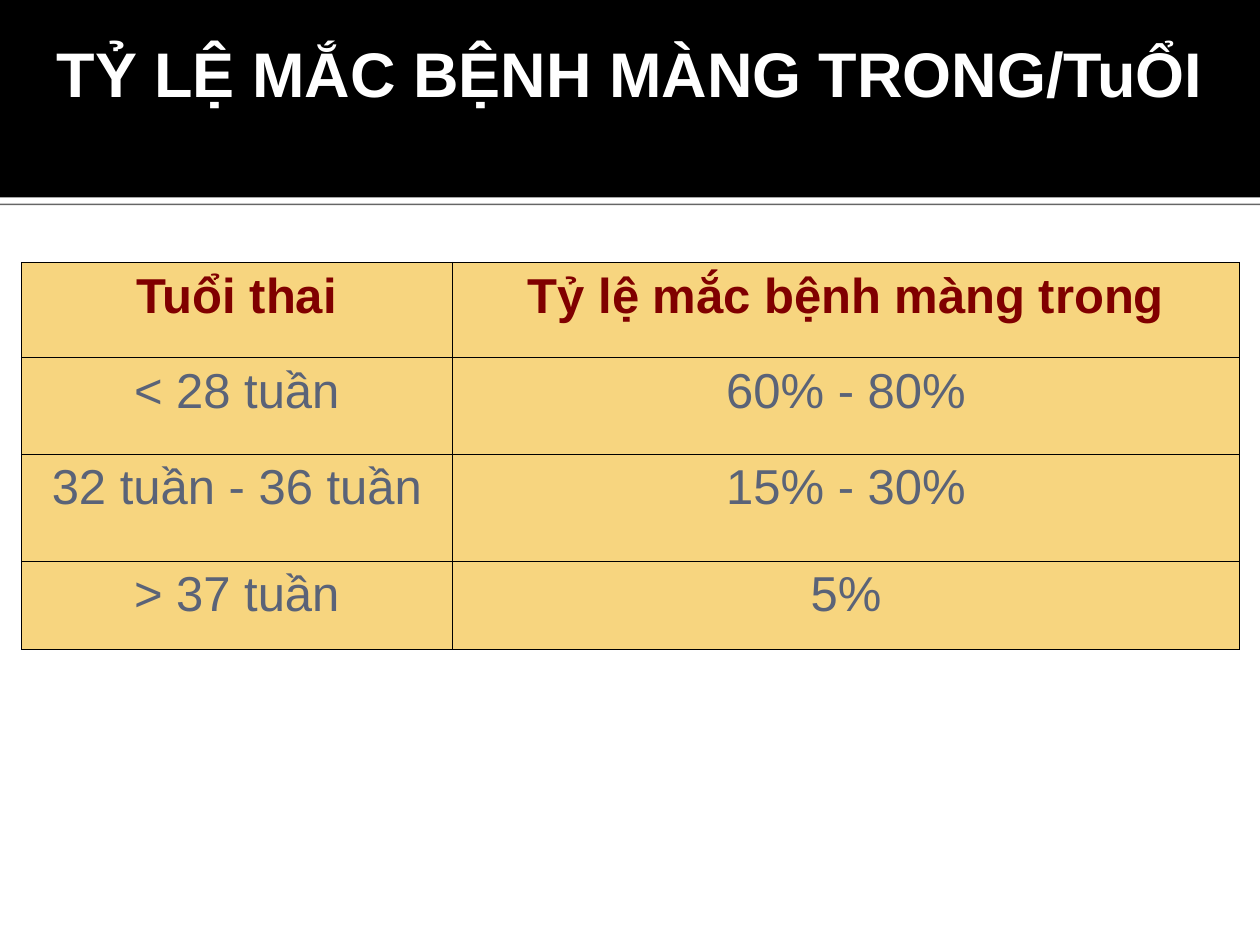
from lxml.etree import SubElement
from pptx import Presentation
from pptx.dml.color import RGBColor
from pptx.enum.shapes import MSO_SHAPE
from pptx.enum.text import PP_ALIGN
from pptx.oxml.ns import qn
from pptx.util import Pt

TITLE = "TỶ LỆ MẮC BỆNH MÀNG TRONG/TuỔI"
ROWS = [
    ("Tuổi thai", "Tỷ lệ mắc bệnh màng trong"),
    ("< 28 tuần", "60% - 80%"),
    ("32 tuần - 36 tuần", "15% - 30%"),
    ("> 37 tuần", "5%"),
]
COL_WIDTHS = [246.2, 450]
ROW_HEIGHTS = [54.4, 55.2, 61.2, 50.4]
WIDTH, HEIGHT = 720, 540
BANNER_H, STRIP_H = 112.8, 3.6
TABLE_LEFT, TABLE_TOP = 12.2, 150
THIN, THICK = 0.45, 0.96


def rgb(value):
    return RGBColor.from_string(value)


def add_band(s, top, height, color):
    sp = s.shapes.add_shape(MSO_SHAPE.RECTANGLE, 0, Pt(top), Pt(WIDTH), Pt(height))
    sp.shadow.inherit = False
    sp.fill.solid()
    sp.fill.fore_color.rgb = rgb(color)
    sp.line.fill.background()
    return sp


def add_color(parent, value, alpha=None):
    clr = SubElement(parent, qn("a:srgbClr"), val=value)
    if alpha:
        SubElement(clr, qn("a:alpha"), val=str(alpha * 1000))


def add_shadow(sp, distance, alpha):
    effects = sp._element.spPr.find(qn("a:effectLst"))
    shadow = SubElement(effects, qn("a:outerShdw"), blurRad="0",
                        dist=str(Pt(distance)), dir="5400000",
                        algn="t", rotWithShape="0")
    add_color(shadow, "000000", alpha)


def write(tf, text, size, color, bold):
    p = tf.paragraphs[0]
    p.alignment = PP_ALIGN.CENTER
    r = p.add_run()
    r.text = text
    r.font.name = "Arial"
    r.font.size = Pt(size)
    r.font.bold = bold
    r.font.color.rgb = rgb(color)


def style_cell(cell, widths):
    tc_pr = cell._tc.get_or_add_tcPr()
    for side, width in widths.items():
        ln = SubElement(tc_pr, qn(f"a:ln{side}"), w=str(Pt(width)))
        add_color(SubElement(ln, qn("a:solidFill")), "000000")
    add_color(SubElement(tc_pr, qn("a:solidFill")), "F0AD00", 50)


def add_rate_table(s):
    n_rows, n_cols = len(ROWS), len(COL_WIDTHS)
    table = s.shapes.add_table(n_rows, n_cols, Pt(TABLE_LEFT), Pt(TABLE_TOP),
                               Pt(sum(COL_WIDTHS)), Pt(sum(ROW_HEIGHTS))).table
    table.first_row = table.horz_banding = False
    for col, width in zip(table.columns, COL_WIDTHS):
        col.width = Pt(width)
    for i, texts in enumerate(ROWS):
        table.rows[i].height = Pt(ROW_HEIGHTS[i])
        for j, text in enumerate(texts):
            cell = table.cell(i, j)
            style_cell(cell, {
                "L": THIN,
                "R": THICK if j == n_cols - 1 else THIN,
                "T": THICK if i == 0 else THIN,
                "B": THICK if i == n_rows - 1 else THIN,
            })
            write(cell.text_frame, text, 28, "5A6378" if i else "800000", i == 0)


def main():
    prs = Presentation()
    prs.slide_width, prs.slide_height = Pt(WIDTH), Pt(HEIGHT)
    s = prs.slides.add_slide(prs.slide_layouts[6])
    strip = add_band(s, BANNER_H, STRIP_H, "FFFFFF")
    add_shadow(strip, 0.8, 60)
    add_band(s, 0, BANNER_H, "000000")
    add_rate_table(s)
    tf = s.shapes.add_textbox(0, Pt(16), Pt(WIDTH), Pt(50.4)).text_frame
    tf.word_wrap = True
    write(tf, TITLE, 36, "FFFFFF", True)
    prs.save("out.pptx")


if __name__ == "__main__":
    main()
